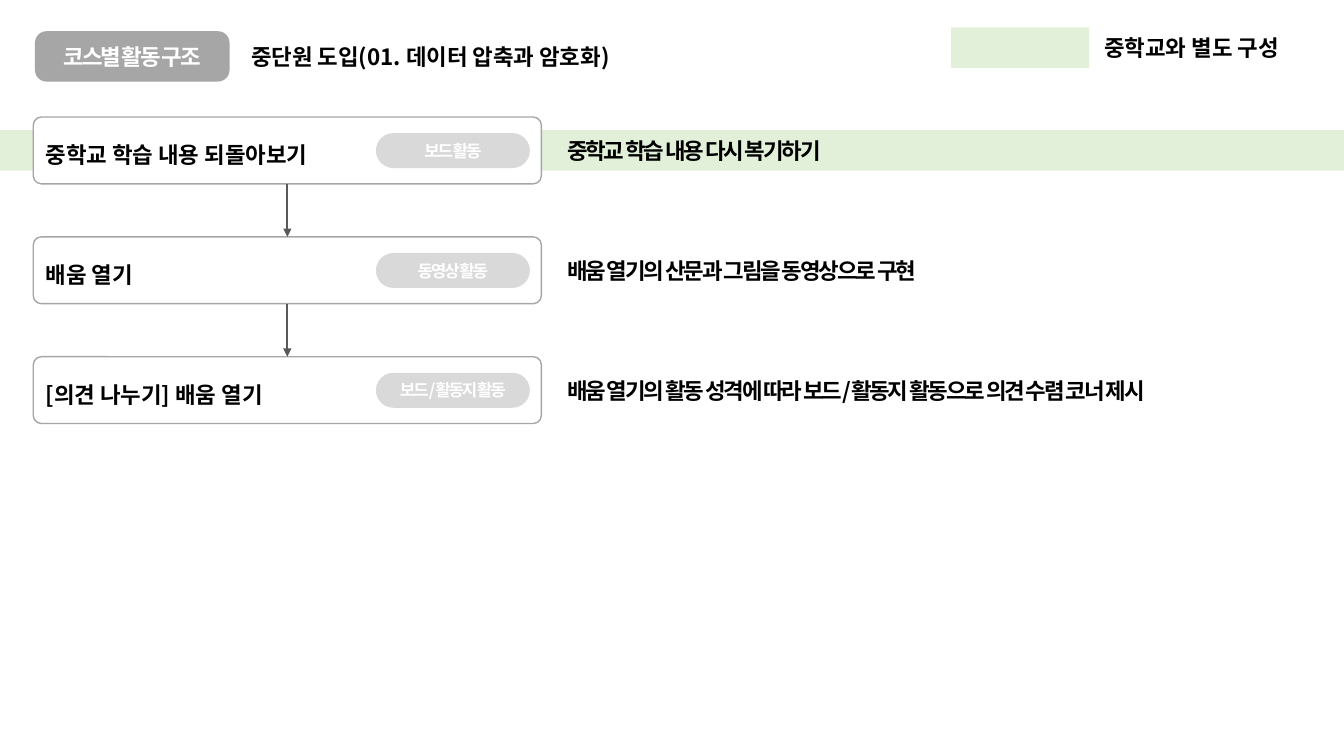
from dataclasses import dataclass

from lxml.etree import SubElement
from pptx import Presentation
from pptx.dml.color import RGBColor
from pptx.enum.shapes import MSO_CONNECTOR, MSO_SHAPE
from pptx.enum.text import MSO_ANCHOR, MSO_AUTO_SIZE, PP_ALIGN
from pptx.oxml.ns import qn
from pptx.util import Pt


@dataclass(frozen=True)
class Theme:
    font: str = "Noto Sans CJK KR"
    text: str = "000000"
    white: str = "FFFFFF"
    highlight: str = "E2F0D9"
    label: str = "A6A6A6"
    pill: str = "D9D9D9"
    arrow: str = "595959"
    body_size: float = 16
    pill_size: float = 12
    tight: int = -150  # letter spacing in hundredths of a point


class SlideBuilder:
    def __init__(self, slide, theme):
        self.slide = slide
        self.theme = theme

    def set_text(self, shape, text, size=None, color=None, tight=False,
                 align=PP_ALIGN.LEFT, anchor=MSO_ANCHOR.MIDDLE, line_spacing=1.0):
        frame = shape.text_frame
        frame.text = text
        frame.word_wrap = True
        frame.vertical_anchor = anchor
        paragraph = frame.paragraphs[0]
        paragraph.alignment = align
        paragraph.line_spacing = line_spacing
        for run in paragraph.runs:
            run.font.name = self.theme.font
            run.font.size = Pt(size or self.theme.body_size)
            run.font.bold = True
            run.font.color.rgb = RGBColor.from_string(color or self.theme.text)
            properties = run._r.get_or_add_rPr()
            SubElement(properties, qn("a:ea"), typeface=self.theme.font)
            if tight:
                properties.set("spc", str(self.theme.tight))

    def title(self, text, left, top, width, height):
        title = self.slide.shapes.title
        title.left, title.top = Pt(left), Pt(top)
        title.width, title.height = Pt(width), Pt(height)
        self.set_text(title, text, anchor=MSO_ANCHOR.TOP)
        title.text_frame.auto_size = MSO_AUTO_SIZE.SHAPE_TO_FIT_TEXT

    def text(self, text, left, top, width, height, tight=False):
        box = self.slide.shapes.add_textbox(Pt(left), Pt(top), Pt(width), Pt(height))
        self.set_text(box, text, tight=tight, anchor=MSO_ANCHOR.TOP)
        box.text_frame.auto_size = MSO_AUTO_SIZE.SHAPE_TO_FIT_TEXT

    def block(self, left, top, width, height, fill, rounding=None, line=None):
        """Add a filled rectangle, rounded when a rounding is given."""
        kind = MSO_SHAPE.RECTANGLE if rounding is None else MSO_SHAPE.ROUNDED_RECTANGLE
        shape = self.slide.shapes.add_shape(kind, Pt(left), Pt(top), Pt(width), Pt(height))
        shape.shadow.inherit = False
        shape.fill.solid()
        shape.fill.fore_color.rgb = RGBColor.from_string(fill)
        if rounding is not None:
            shape.adjustments[0] = rounding
        if line:
            shape.line.color.rgb = RGBColor.from_string(line)
            shape.line.width = Pt(1)
        else:
            shape.line.fill.background()
        return shape

    def badge(self, text, left, top, width, height, fill, rounding, size):
        shape = self.block(left, top, width, height, fill, rounding)
        self.set_text(shape, text, size, self.theme.white, tight=True, align=PP_ALIGN.CENTER)

    def step(self, text, left, top, width, height):
        shape = self.block(left, top, width, height, self.theme.white, 0.12, self.theme.label)
        self.set_text(shape, text, line_spacing=1.3)

    def down_arrow(self, x, top, bottom):
        connector = self.slide.shapes.add_connector(
            MSO_CONNECTOR.STRAIGHT, Pt(x), Pt(top), Pt(x), Pt(bottom))
        connector.line.color.rgb = RGBColor.from_string(self.theme.arrow)
        connector.line.width = Pt(1.25)
        properties = connector._element.spPr
        SubElement(properties.find(qn("a:ln")), qn("a:tailEnd"), type="triangle")
        SubElement(properties, qn("a:effectLst"))


STEPS = [
    ("중학교 학습 내용 되돌아보기", "보드 활동", "중학교 학습 내용 다시 복기하기", 452),
    ("배움 열기", "동영상 활동", "배움 열기의 산문과 그림을 동영상으로 구현", 423),
    ("[의견 나누기] 배움 열기", "보드/활동지 활동",
     "배움 열기의 활동 성격에 따라 보드/활동지 활동으로 의견 수렴 코너 제시", 492),
]
STEP_LEFT, STEP_TOP, STEP_WIDTH, STEP_HEIGHT = 23.8, 83.6, 362.9, 47.7
STEP_PITCH = 85.6
TEXT_HEIGHT = 26.6


def main():
    presentation = Presentation()
    presentation.slide_width, presentation.slide_height = Pt(960), Pt(540)
    slide = presentation.slides.add_slide(presentation.slide_layouts[5])
    theme = Theme()
    builder = SlideBuilder(slide, theme)

    builder.block(0, 92.9, 960, 29, theme.highlight)
    builder.title("중단원 도입(01. 데이터 압축과 암호화)", 172.1, 27.2, 381, TEXT_HEIGHT)
    builder.badge("코스별 활동 구조", 25, 22.3, 139, 36, theme.label, 0.23, theme.body_size)

    for index, (name, activity, detail, detail_width) in enumerate(STEPS):
        top = STEP_TOP + index * STEP_PITCH
        builder.step(name, STEP_LEFT, top, STEP_WIDTH, STEP_HEIGHT)
        builder.badge(activity, 268.5, top + 11.5, 110, 25, theme.pill, 0.5, theme.pill_size)
        builder.text(detail, 398, top + 10.8, detail_width, TEXT_HEIGHT, tight=True)
        if index:
            builder.down_arrow(STEP_LEFT + STEP_WIDTH / 2,
                               top - STEP_PITCH + STEP_HEIGHT, top)

    builder.block(679.4, 19.6, 98.6, 29, theme.highlight)
    builder.text("중학교와 별도 구성", 781.7, 20.8, 161, TEXT_HEIGHT)

    presentation.save("out.pptx")


if __name__ == "__main__":
    main()
